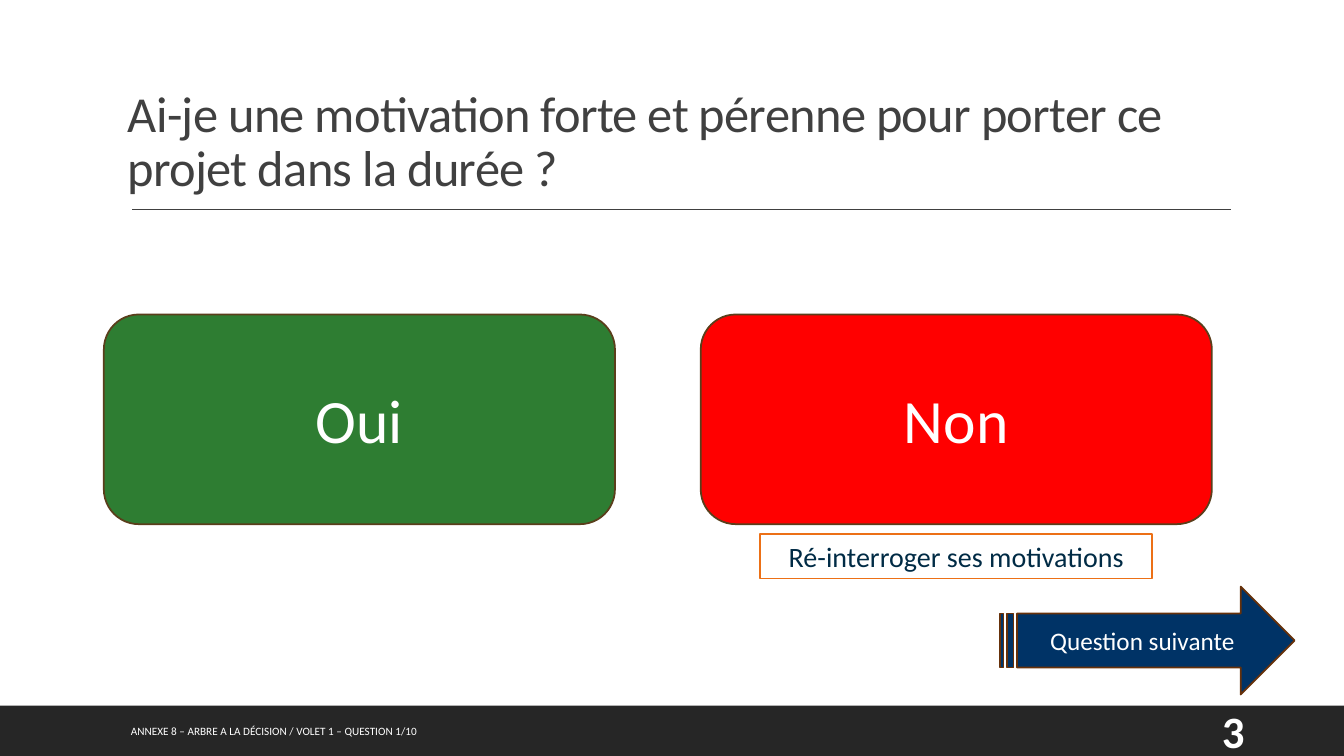
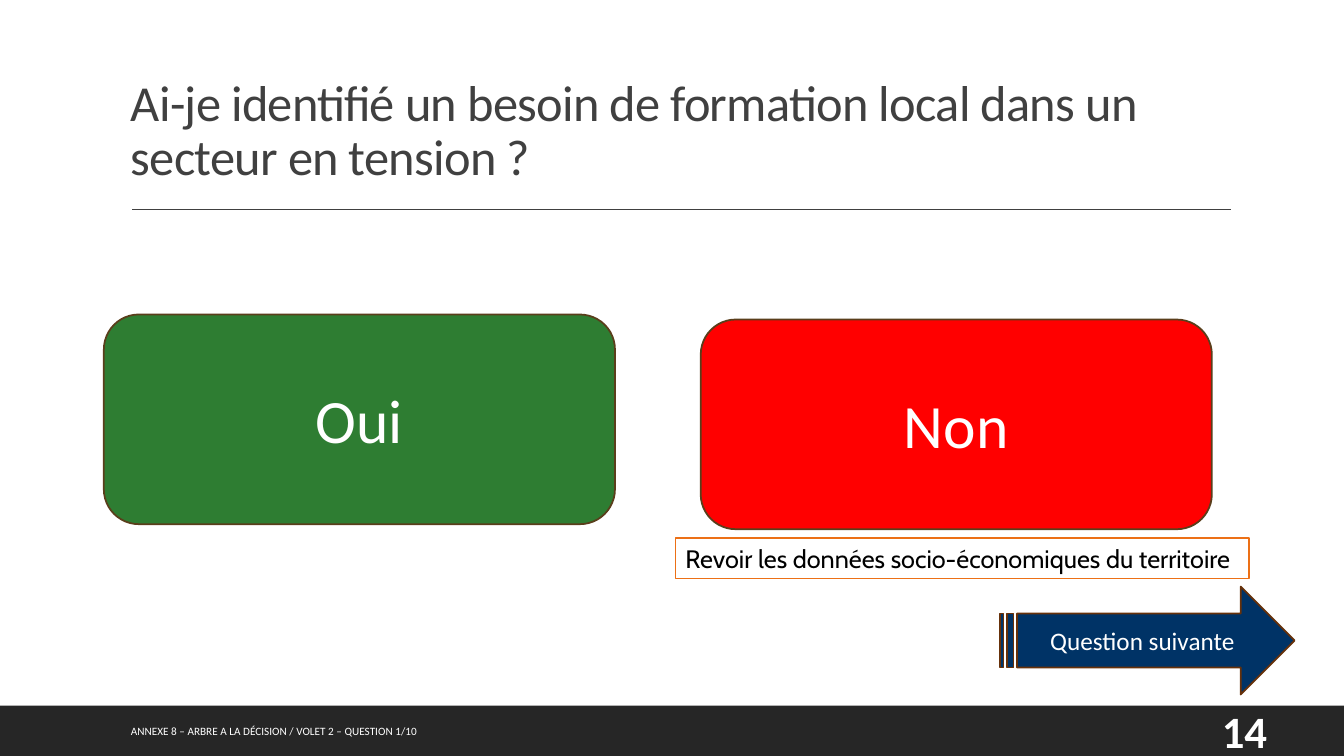
"""Build two yes/no question slides of a decision tree."""
from lxml import etree
from pptx import Presentation
from pptx.dml.color import RGBColor
from pptx.enum import shapes, text
from pptx.oxml import ns
from pptx.util import Inches, Pt

WHITE = RGBColor(0xFF, 0xFF, 0xFF)
BLACK = RGBColor(0x00, 0x00, 0x00)
CHARCOAL = RGBColor(0x26, 0x26, 0x26)
GREY = RGBColor(0x40, 0x40, 0x40)
GREEN = RGBColor(0x2E, 0x7D, 0x32)
RED = RGBColor(0xFF, 0x00, 0x00)
NAVY = RGBColor(0x00, 0x33, 0x66)
INK = RGBColor(0x00, 0x2B, 0x45)
ORANGE = RGBColor(0xEC, 0x70, 0x16)
BROWN = RGBColor(0x5A, 0x3E, 0x1B)
RUST = RGBColor(0x67, 0x31, 0x0A)

SHAPE = shapes.MSO_SHAPE
ALIGN = text.PP_ALIGN
ANCHOR = text.MSO_ANCHOR

deck = Presentation()
deck.slide_width, deck.slide_height = Inches(13.33), Inches(7.5)


def share(left, top, width, height):
    """Turn percentages of the slide into lengths."""
    sides = (deck.slide_width, deck.slide_height) * 2
    return [round(side * part / 100) for side, part in zip(sides, (left, top, width, height))]


def add_box(page, place, wording="", kind=None, fill=None, line=None, align=ALIGN.LEFT,
            anchor=ANCHOR.MIDDLE, wrap=True, **font):
    """Add a text box, or a preset shape when a kind is given."""
    if kind is None:
        box = page.shapes.add_textbox(*share(*place))
    else:
        box = page.shapes.add_shape(kind, *share(*place))
        box.shadow.inherit = False
        box.fill.solid()
        box.fill.fore_color.rgb = fill
        if line is None:
            box.line.fill.background()
        else:
            box.line.color.rgb = line
            box.line.width = Pt(1.25)
    frame = box.text_frame
    frame.word_wrap = wrap
    frame.vertical_anchor = anchor
    para = frame.paragraphs[0]
    para.alignment = align
    if wording:
        span = para.add_run()
        span.text = wording
        span.font.color.rgb = font.pop("color", WHITE)
        for name, value in ({"name": "Calibri"} | font).items():
            setattr(span.font, name, value)
    return box


QUESTIONS = [
    dict(title="Ai-je une motivation forte et pérenne pour porter ce projet dans la durée ?",
         title_at=(8.78, 5.6), no_top=41.6, part=1, number="3",
         note="Ré-interroger ses motivations", note_at=(56.56, 70.67, 29.18, 5.87),
         note_style=dict(size=Pt(20), color=INK, align=ALIGN.CENTER)),
    dict(title="Ai-je identifié un besoin de formation local dans un secteur en tension ?",
         title_at=(9, 4.13), no_top=42.27, part=2, number="14",
         note="Revoir les données socio-économiques du territoire",
         note_at=(50.26, 71.2, 42.69, 5.33),
         note_style=dict(size=Pt(18), color=BLACK, name="Cabin", wrap=False)),
]

for question in QUESTIONS:
    page = deck.slides.add_slide(deck.slide_layouts[6])
    add_box(page, (0, 93.33, 100, 6.67), kind=SHAPE.RECTANGLE, fill=CHARCOAL)

    rule = page.shapes.add_connector(shapes.MSO_CONNECTOR.STRAIGHT,
                                     *share(9.83, 27.73, 91.6, 27.73))
    rule.line.color.rgb = GREY
    rule.line.width = Pt(1)
    etree.SubElement(rule._element.spPr, ns.qn("a:effectLst"))

    title = add_box(page, (*question["title_at"], 82.52, 21.2), question["title"],
                    anchor=ANCHOR.BOTTOM, size=Pt(36), color=GREY)
    heading = title.text_frame.paragraphs[0]
    heading.line_spacing = 0.9
    heading.runs[0].font._element.set("spc", "-50")

    add_box(page, question["note_at"], question["note"], SHAPE.RECTANGLE, WHITE, ORANGE,
            anchor=ANCHOR.TOP, **question["note_style"])

    for answer, left, top, fill in (("Oui", 7.73, 41.6, GREEN),
                                    ("Non", 52.14, question["no_top"], RED)):
        add_box(page, (left, top, 38.03, 27.73), answer, SHAPE.ROUNDED_RECTANGLE, fill, BROWN,
                align=ALIGN.CENTER, size=Pt(44))

    add_box(page, (74.42, 77.6, 21.91, 14.27), "Question suivante", SHAPE.STRIPED_RIGHT_ARROW,
            NAVY, RUST, align=ALIGN.CENTER, size=Pt(18))
    add_box(page, (9, 94, 55.96, 5.33),
            f"ANNEXE 8 – ARBRE A LA DÉCISION / VOLET {question['part']} – QUESTION 1/10",
            align=ALIGN.JUSTIFY, size=Pt(8))
    add_box(page, (90.17, 94, 6.38, 5.33), question["number"], size=Pt(32), bold=True)

deck.save("out.pptx")
